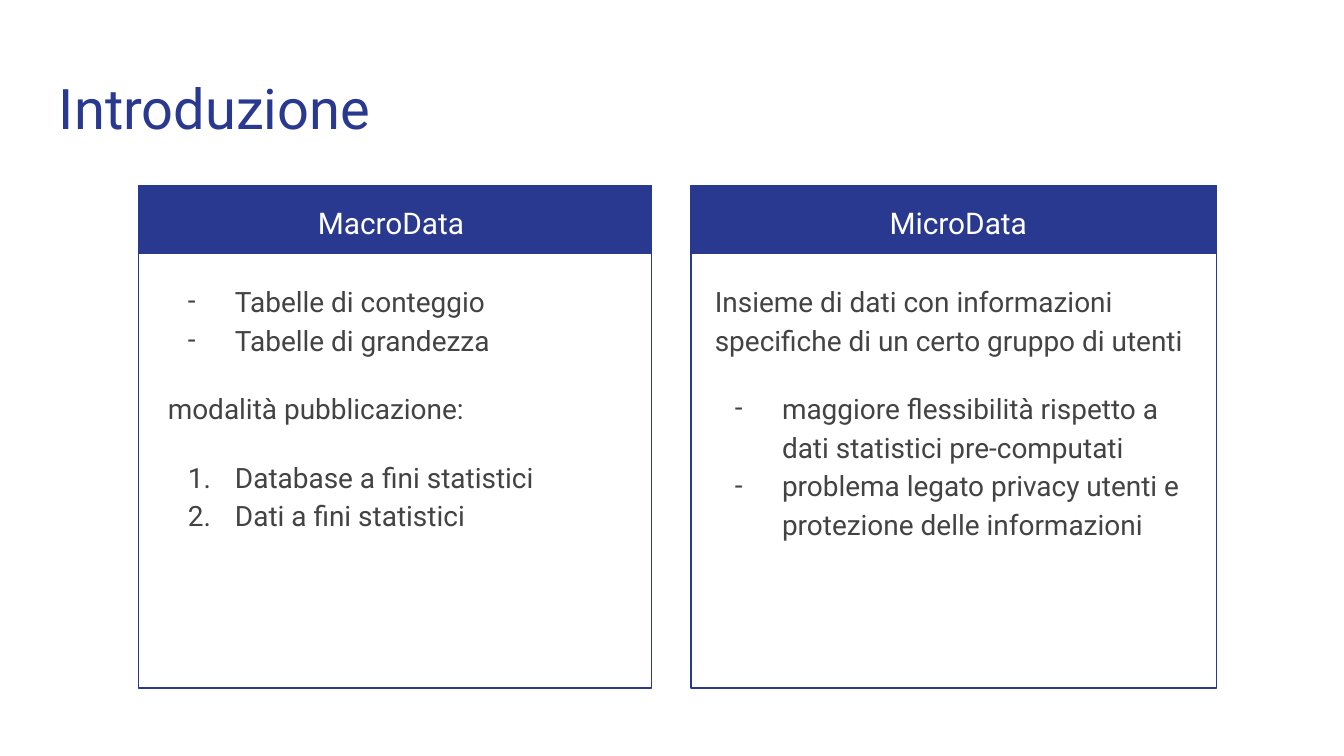
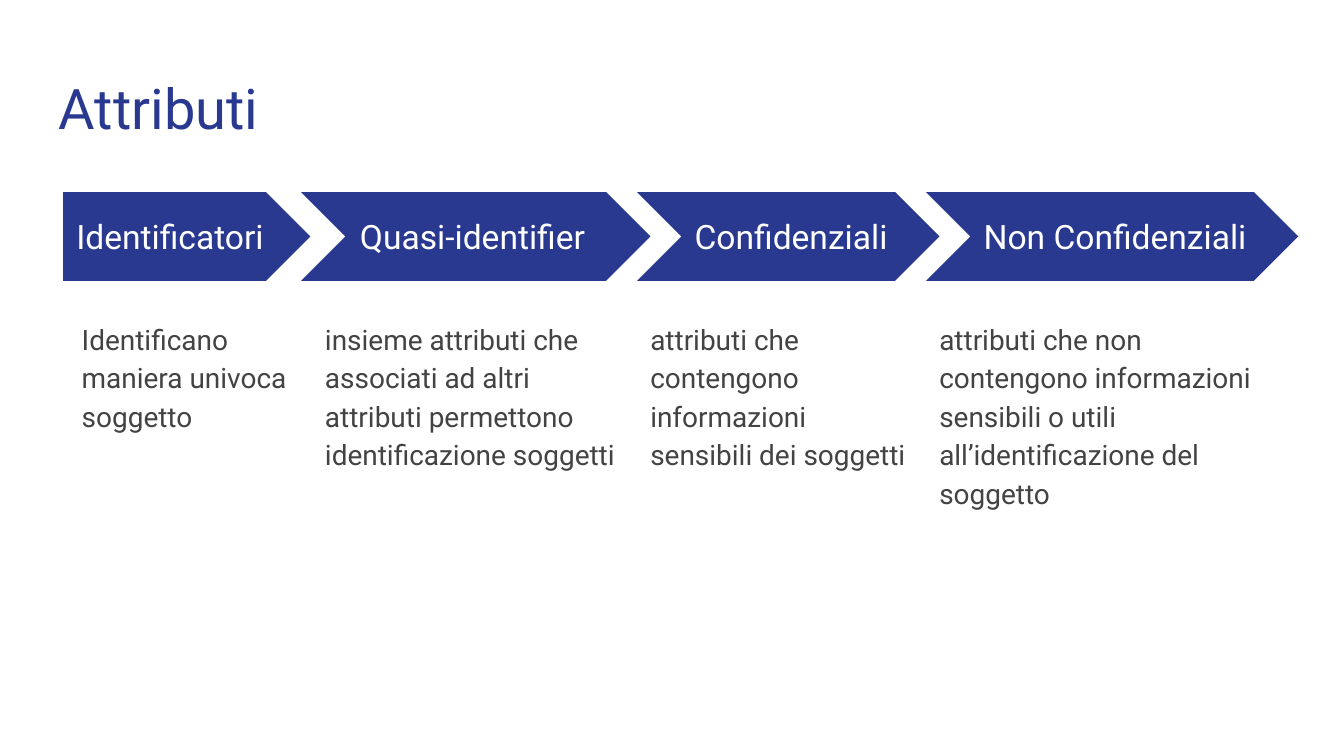
import dataclasses

import lxml.etree
import pptx
import pptx.dml.color
import pptx.enum.shapes
import pptx.enum.text
import pptx.oxml.ns
import pptx.util

Inches = pptx.util.Inches
Pt = pptx.util.Pt
SHAPE = pptx.enum.shapes.MSO_SHAPE
ALIGN = pptx.enum.text.PP_ALIGN
ANCHOR = pptx.enum.text.MSO_ANCHOR


def rgb(value):
    return pptx.dml.color.RGBColor.from_string(value)


@dataclasses.dataclass(frozen=True)
class Theme:
    font: str = "Roboto"
    accent: str = "2A3990"
    ink: str = "434343"
    paper: str = "FFFFFF"
    title: int = 30
    arrow: int = 18
    header: int = 16
    body: int = 15
    leading: float = 1.15


@dataclasses.dataclass
class Para:
    text: str
    marker: str = ""  # "-" for a dash, "1." for automatic numbers
    before: int = 0
    after: int = 0


class Deck:
    def __init__(self, theme):
        self.theme = theme
        self.prs = pptx.Presentation()
        self.prs.slide_width = Inches(10)
        self.prs.slide_height = Inches(10 * 9 / 16)
        self.s = None

    def slide(self, title):
        self.s = self.prs.slides.add_slide(self.prs.slide_layouts[6])
        t = self.theme
        self.text(0.34, 0.45, 9.32, 0.66, [Para(title)], t.title, t.accent)

    def shape(self, kind, x, y, w, h, filled=True):
        """Add a solid accent shape, or only its outline."""
        sp = self.s.shapes.add_shape(kind, Inches(x), Inches(y), Inches(w), Inches(h))
        sp.shadow.inherit = False
        color = rgb(self.theme.accent)
        if filled:
            sp.fill.solid()
            sp.fill.fore_color.rgb = color
            sp.line.fill.background()
        else:
            sp.fill.background()
            sp.line.color.rgb = color
            sp.line.width = Pt(0.75)

    def text(self, x, y, w, h, paras, size, color, align=ALIGN.LEFT,
             anchor=ANCHOR.TOP, leading=None):
        sp = self.s.shapes.add_textbox(Inches(x), Inches(y), Inches(w), Inches(h))
        tf = sp.text_frame
        tf.word_wrap = True
        tf.vertical_anchor = anchor
        tf.margin_left = tf.margin_right = Inches(0.1)
        tf.margin_top = tf.margin_bottom = Inches(0.1)
        for i, para in enumerate(paras):
            p = tf.add_paragraph() if i else tf.paragraphs[0]
            p.text = para.text
            if para.marker:
                self.bullet(p, para.marker, color)
            p.alignment = align
            p.space_before = Pt(para.before)
            p.space_after = Pt(para.after)
            if leading:
                p.line_spacing = leading
            p.font.name = self.theme.font
            p.font.size = Pt(size)
            p.font.color.rgb = rgb(color)

    def body(self, x, y, w, h, paras):
        t = self.theme
        self.text(x, y, w, h, paras, t.body, t.ink, leading=t.leading)

    def bullet(self, p, marker, color):
        def add(parent, tag, **attrs):
            return lxml.etree.SubElement(parent, pptx.oxml.ns.qn(tag), **attrs)

        pPr = p._p.get_or_add_pPr()
        pPr.set("marL", str(Inches(0.5)))
        pPr.set("indent", str(Inches(-0.35)))
        add(add(pPr, "a:buClr"), "a:srgbClr", val=color)
        add(pPr, "a:buFont", typeface=self.theme.font)
        if marker == "1.":
            add(pPr, "a:buAutoNum", type="arabicPeriod")
        else:
            add(pPr, "a:buChar", char=marker)

    def card(self, x, w, header_x, header_w, header, text_x, text_w, paras):
        """Outlined panel with a filled header band."""
        t, top = self.theme, 1.38
        self.shape(SHAPE.RECTANGLE, x, top, w, 0.51)
        self.shape(SHAPE.RECTANGLE, x, top, w, 3.74, filled=False)
        self.text(header_x, top, header_w, 0.5, [Para(header)],
                  t.header, t.paper, ALIGN.CENTER, leading=t.leading)
        self.body(text_x, 1.98, text_w, 3.06, paras)

    def step(self, kind, x, w, label_x, label_w, label, text_x, text_w, text):
        """Arrow with its label and the explanation below it."""
        t = self.theme
        self.shape(kind, x, 1.43, w, 0.66)
        self.text(label_x, 1.59, label_w, 0.34, [Para(label)],
                  t.arrow, t.paper, anchor=ANCHOR.MIDDLE)
        self.body(text_x, 2.26, text_w, 2.9, [Para(text, after=8)])


def introduction(deck):
    deck.slide("Introduzione")
    deck.card(1.03, 3.82, 1.03, 3.76, "MacroData", 1.15, 3.62, [
        Para("Tabelle di conteggio", "-"),
        Para("Tabelle di grandezza", "-"),
        Para("modalità pubblicazione:", before=16),
        Para("Database a fini statistici", "1.", before=16),
        Para("Dati a fini statistici", "1."),
    ])
    deck.card(5.14, 3.91, 5.22, 3.82, "MicroData", 5.22, 3.72, [
        Para("Insieme di dati con informazioni specifiche di un certo gruppo di utenti"),
        Para("maggiore flessibilità rispetto a dati statistici pre-computati", "-", before=16),
        Para("problema legato privacy utenti e protezione delle informazioni", "-"),
    ])


def attributes(deck):
    deck.slide("Attributi")
    deck.step(SHAPE.PENTAGON, 0.47, 1.84, 0.47, 2.47, "Identificatori",
              0.51, 1.76, "Identificano maniera univoca soggetto")
    chevrons = [
        (2.24, 2.6, 2.58, "Quasi-identifier", 2.32, 2.43,
         "insieme attributi che associati ad altri attributi permettono "
         "identificazione soggetti"),
        (4.74, 2.25, 5.07, "Confidenziali", 4.74, 2.16,
         "attributi che contengono informazioni sensibili dei soggetti"),
        (6.89, 2.77, 7.22, "Non Confidenziali", 6.89, 2.65,
         "attributi che non contengono informazioni sensibili o utili "
         "all’identificazione del soggetto"),
    ]
    for x, w, label_x, label, text_x, text_w, text in chevrons:
        deck.step(SHAPE.CHEVRON, x, w, label_x, 2.32, label, text_x, text_w, text)


def main():
    deck = Deck(Theme())
    introduction(deck)
    attributes(deck)
    deck.prs.save("out.pptx")


if __name__ == "__main__":
    main()
